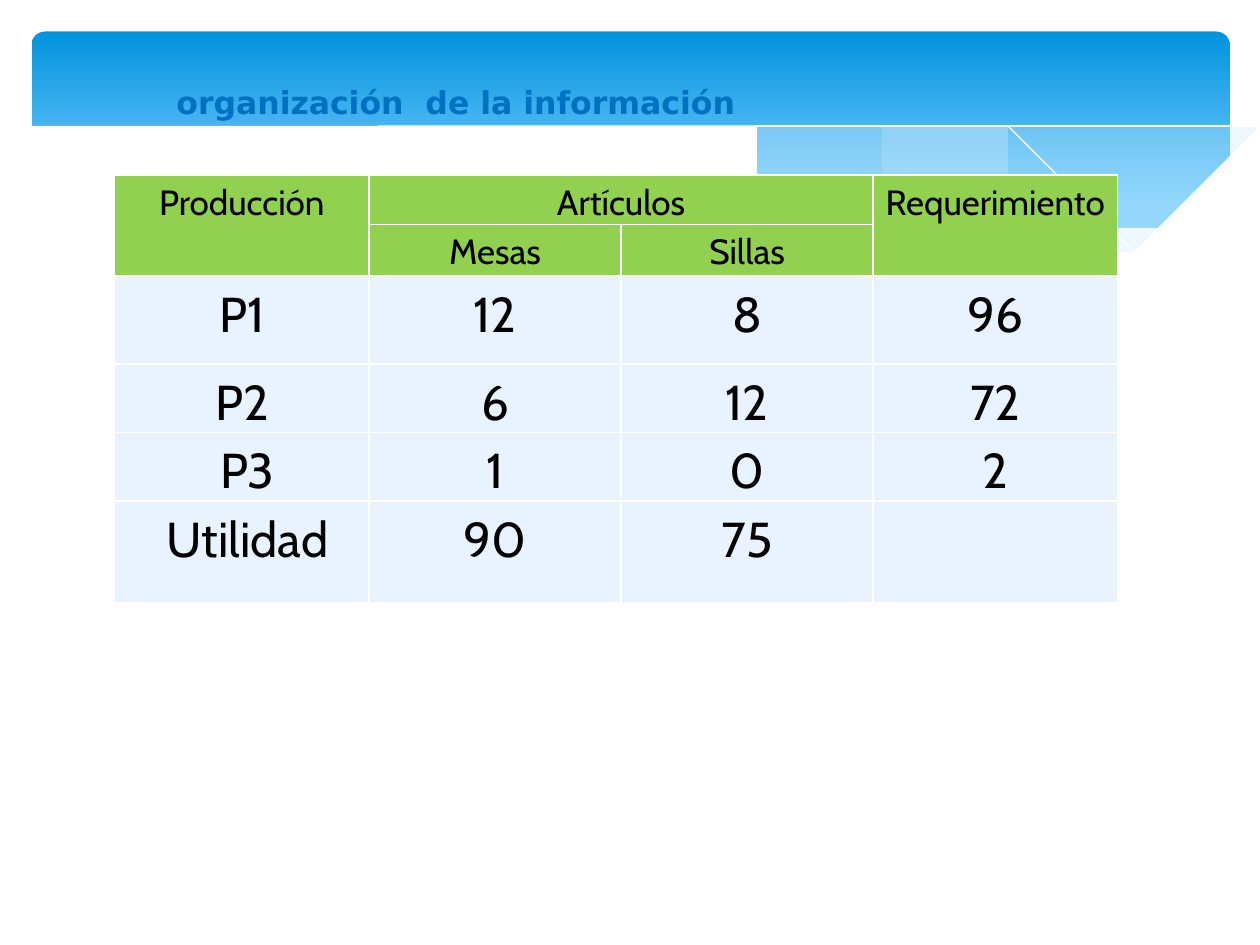
from dataclasses import dataclass
from typing import Any, Optional

from lxml.etree import SubElement
from pptx import Presentation
from pptx.dml.color import RGBColor
from pptx.enum.shapes import MSO_SHAPE
from pptx.enum.text import MSO_ANCHOR, MSO_AUTO_SIZE, PP_ALIGN
from pptx.oxml.ns import qn
from pptx.util import Inches, Pt


@dataclass(frozen=True)
class Theme:
    white: RGBColor = RGBColor.from_string("FFFFFF")
    sky_top: RGBColor = RGBColor.from_string("0293E0")
    sky_bottom: RGBColor = RGBColor.from_string("83D3FE")
    mist: RGBColor = RGBColor.from_string("C6E7FC")
    title: RGBColor = RGBColor.from_string("0070C0")
    header: RGBColor = RGBColor.from_string("92D050")
    body: RGBColor = RGBColor.from_string("E8F3FF")
    ink: RGBColor = RGBColor.from_string("000000")
    title_font: str = "DejaVu Sans"
    table_font: str = "Cabin"
    title_size: Pt = Pt(18)
    header_size: Pt = Pt(20)
    body_size: Pt = Pt(28)


@dataclass(frozen=True)
class Curve:
    """A smooth curve through heights at equal steps from start to end."""
    start: float
    end: float
    heights: list[float]


@dataclass(frozen=True)
class Wave:
    """A filled wave, or an open white line when it has no fill."""
    curves: list[Curve]
    fill: Optional[RGBColor] = None
    opacity: int = 100


THEME = Theme()
CURVE_STEPS = 8

# Waves of the banner, from back to front
WAVES = [
    Wave([Curve(9.76, 6.61, [0.94, 1.09, 1.28, 1.45, 1.6]),
          Curve(6.61, 9.76, [1.6, 1.69, 1.72, 1.65, 1.41])], THEME.mist, 29),
    Wave([Curve(8.93, 2.86, [1.67, 1.52, 1.31, 1.07, 0.89, 0.8, 0.86]),
          Curve(2.86, 8.93, [0.86, 1.02, 1.25, 1.48, 1.64, 1.73, 1.67])],
         THEME.mist, 40),
    Wave([Curve(3.09, 9.07, [0.9, 0.81, 0.86, 0.98, 1.16, 1.39, 1.66])]),
    Wave([Curve(6.13, 9.75, [1.51, 1.28, 1.07, 0.9, 0.8])]),
    Wave([Curve(9.77, 0.23, [1.41, 1.68, 1.7, 1.58, 1.39, 1.14, 0.92, 0.79, 0.81, 1.07]),
          Curve(0.23, 9.77, [2.24, 2.24])], THEME.white),
]

# Table content; None marks a cell covered by a merge
HEADER_ROWS = 2
ROWS = [
    ["Producción", "Artículos", None, "Requerimiento"],
    [None, "Mesas", "Sillas", None],
    ["P1", "12", "8", "96"],
    ["P2", "6", "12", "72"],
    [" P3", "1", "0", "2"],
    [" Utilidad", "90", "75", ""],
]
MERGES = [((0, 0), (1, 0)), ((0, 1), (0, 2)), ((0, 3), (1, 3))]
COLUMN_WIDTHS = [2.02, 2, 2, 1.94]
ROW_HEIGHTS = [0.39, 0.41, 0.7, 0.45, 0.39, 0.81]


def apply(target: Any, formats: dict[str, Any]) -> None:
    for name, value in formats.items():
        setattr(target, name, value)


def curve_points(curve: Curve) -> list[tuple[float, float]]:
    """Interpolate the heights with a Catmull-Rom spline."""
    knots = curve.heights
    padded = [2 * knots[0] - knots[1], *knots, 2 * knots[-1] - knots[-2]]
    count = (len(knots) - 1) * CURVE_STEPS
    points = []
    for index in range(count + 1):
        segment = min(index // CURVE_STEPS, len(knots) - 2)
        t = index / CURVE_STEPS - segment
        before, first, second, after = padded[segment:segment + 4]
        slope_in, slope_out = (second - before) / 2, (after - first) / 2
        rise = second - first
        y = first + t * (slope_in + t * (3 * rise - 2 * slope_in - slope_out
                                         + t * (slope_in + slope_out - 2 * rise)))
        points.append((curve.start + (curve.end - curve.start) * index / count, y))
    return points


def draw_banner(page: Any) -> None:
    banner = page.shapes.add_shape(MSO_SHAPE.ROUNDED_RECTANGLE, Inches(0.25),
                                   Inches(0.25), Inches(9.51), Inches(1.56))
    banner.adjustments[0] = 0.07
    banner.shadow.inherit = False
    banner.line.fill.background()
    banner.fill.gradient()
    banner.fill.gradient_angle = 270
    shades = [(THEME.sky_top, 0), (THEME.sky_bottom, 0.9)]
    for stop, (color, position) in zip(banner.fill.gradient_stops, shades):
        stop.color.rgb = color
        stop.position = position


def draw_wave(page: Any, wave: Wave) -> None:
    filled = wave.fill is not None
    points = [point for curve in wave.curves for point in curve_points(curve)]
    builder = page.shapes.build_freeform(*points[0], scale=Inches(1))
    builder.add_line_segments(points[1:], close=filled)
    shape = builder.convert_to_shape()
    shape.shadow.inherit = False
    if not filled:
        shape.fill.background()
        shape.line.color.rgb = THEME.white
        shape.line.width = Pt(0)
        return
    shape.line.fill.background()
    shape.fill.solid()
    shape.fill.fore_color.rgb = wave.fill
    if wave.opacity < 100:
        color = shape.element.spPr.find(qn("a:solidFill")).find(qn("a:srgbClr"))
        SubElement(color, qn("a:alpha"), val=str(wave.opacity * 1000))


def add_borders(cell: Any) -> None:
    properties = cell._tc.get_or_add_tcPr()
    for index, side in enumerate(("lnL", "lnR", "lnT", "lnB")):
        line = properties.makeelement(qn(f"a:{side}"), {"w": str(int(Pt(1)))})
        fill = SubElement(line, qn("a:solidFill"))
        SubElement(fill, qn("a:srgbClr"), val=str(THEME.white))
        properties.insert(index, line)


def fill_cell(cell: Any, text: Optional[str], is_header: bool) -> None:
    apply(cell, {"margin_left": Inches(0.05), "margin_right": Inches(0.05),
                 "margin_top": 0, "margin_bottom": 0})
    cell.fill.solid()
    cell.fill.fore_color.rgb = THEME.header if is_header else THEME.body
    add_borders(cell)
    if text:
        para = cell.text_frame.paragraphs[0]
        apply(para, {"alignment": PP_ALIGN.CENTER, "line_spacing": 1.15,
                     "space_after": Pt(10)})
        span = para.add_run()
        span.text = text
        size = THEME.header_size if is_header else THEME.body_size
        apply(span.font, {"name": THEME.table_font, "size": size, "bold": False})
        span.font.color.rgb = THEME.ink


def draw_table(page: Any) -> None:
    frame = page.shapes.add_table(len(ROWS), len(COLUMN_WIDTHS), Inches(0.91), Inches(1.39),
                                  Inches(sum(COLUMN_WIDTHS)), Inches(sum(ROW_HEIGHTS)))
    table = frame.table
    apply(table, {"first_row": False, "horz_banding": False})
    for column, width in zip(table.columns, COLUMN_WIDTHS):
        column.width = Inches(width)
    for row, height in zip(table.rows, ROW_HEIGHTS):
        row.height = Inches(height)
    for first, last in MERGES:
        table.cell(*first).merge(table.cell(*last))
    for row_index, texts in enumerate(ROWS):
        for column_index, text in enumerate(texts):
            fill_cell(table.cell(row_index, column_index), text, row_index < HEADER_ROWS)


def draw_title(page: Any) -> None:
    box = page.shapes.title
    apply(box, {"left": Inches(1.3), "top": Inches(0.61),
                "width": Inches(4.75), "height": Inches(0.4)})
    apply(box.text_frame, {"word_wrap": False, "vertical_anchor": MSO_ANCHOR.TOP,
                           "auto_size": MSO_AUTO_SIZE.SHAPE_TO_FIT_TEXT})
    para = box.text_frame.paragraphs[0]
    para.alignment = PP_ALIGN.LEFT
    span = para.add_run()
    span.text = "organización  de la información"
    apply(span.font, {"name": THEME.title_font, "size": THEME.title_size, "bold": True})
    span.font.color.rgb = THEME.title
    # Bring the title in front of the banner
    box.element.getparent().append(box.element)


def main() -> None:
    deck = Presentation()
    apply(deck, {"slide_width": Inches(10), "slide_height": Inches(7.5)})
    page = deck.slides.add_slide(deck.slide_layouts.get_by_name("Title Only"))
    draw_banner(page)
    for wave in WAVES:
        draw_wave(page, wave)
    draw_table(page)
    draw_title(page)
    deck.save("out.pptx")


if __name__ == "__main__":
    main()
